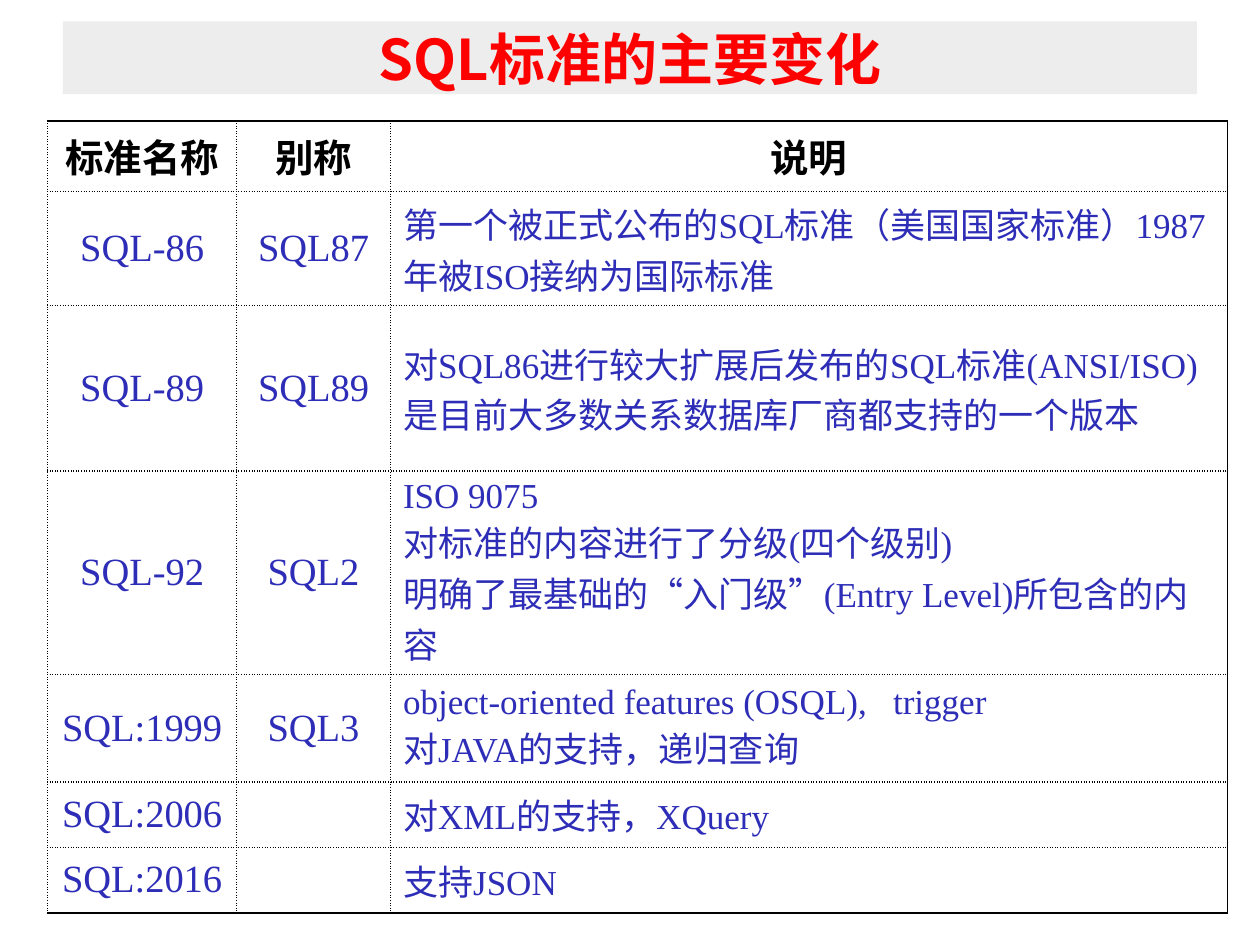
from lxml import etree
from pptx import Presentation
from pptx.dml import color
from pptx.enum import shapes, text
from pptx.oxml import ns
from pptx.util import Cm, Pt

COLORS = {"band": "DDDDDD", "title": "FF0000", "head": "000000",
          "body": "2D2DB7", "border": "000000"}
TITLE_FONT = "Noto Sans CJK SC"
TABLE_FONT = "Times New Roman"
COLUMN_WIDTHS = [3.81, 3.1, 16.87]
ROW_HEIGHTS = [1.42, 2.16, 2.16, 3.1, 2.16, 1.32, 1.32]
ROWS = [
    ("标准名称", "别称", "说明"),
    ("SQL-86", "SQL87", "第一个被正式公布的SQL标准（美国国家标准）1987年被ISO接纳为国际标准"),
    ("SQL-89", "SQL89",
     "对SQL86进行较大扩展后发布的SQL标准(ANSI/ISO)是目前大多数关系数据库厂商都支持的一个版本"),
    ("SQL-92", "SQL2",
     "ISO 9075\n对标准的内容进行了分级(四个级别)\n明确了最基础的“入门级”(Entry Level)所包含的内容"),
    ("SQL:1999", "SQL3",
     "object-oriented features (OSQL),   trigger\n对JAVA的支持，递归查询"),
    ("SQL:2006", "", "对XML的支持，XQuery"),
    ("SQL:2016", "", "支持JSON"),
]


def rgb(name):
    return color.RGBColor.from_string(COLORS[name])


def style_paragraph(para, font, size, color_name, bold, align):
    para.alignment = align
    para.font.name = font
    para.font.size = Pt(size)
    para.font.bold = bold
    para.font.color.rgb = rgb(color_name)


def add_title(page, wording):
    box = page.shapes.add_shape(shapes.MSO_SHAPE.RECTANGLE,
                                Cm(1.27), Cm(0.43), Cm(22.86), Cm(1.47))
    box.shadow.inherit = False
    box.line.fill.background()
    box.fill.solid()
    box.fill.fore_color.rgb = rgb("band")
    tint = box.fill._xPr.find(".//" + ns.qn("a:srgbClr"))
    etree.SubElement(tint, ns.qn("a:alpha"), val="50000")
    frame = box.text_frame
    frame.word_wrap = True
    frame.vertical_anchor = text.MSO_ANCHOR.MIDDLE
    frame.text = wording
    style_paragraph(frame.paragraphs[0], TITLE_FONT, 32, "title", True,
                    text.PP_ALIGN.CENTER)


def set_borders(cell, solid_sides):
    """Draw one-point borders, solid on the given sides and dotted elsewhere."""
    props = cell._tc.get_or_add_tcPr()
    for index, side in enumerate("LRTB"):
        line = etree.Element(ns.qn("a:ln" + side), w=str(Pt(1)))
        fill = etree.SubElement(line, ns.qn("a:solidFill"))
        etree.SubElement(fill, ns.qn("a:srgbClr"), val=COLORS["border"])
        dash = "solid" if side in solid_sides else "sysDot"
        etree.SubElement(line, ns.qn("a:prstDash"), val=dash)
        props.insert(index, line)


def fill_cell(cell, wording, is_head, is_note):
    cell.fill.background()
    cell.vertical_anchor = text.MSO_ANCHOR.MIDDLE
    if not is_note:
        cell.margin_left = cell.margin_right = 0
    cell.text = wording
    left = is_note and not is_head
    for para in cell.text_frame.paragraphs:
        style_paragraph(para, TABLE_FONT, 20 if left else 22,
                        "head" if is_head else "body", is_head,
                        text.PP_ALIGN.LEFT if left else text.PP_ALIGN.CENTER)


def add_standards_table(page):
    frame = page.shapes.add_table(len(ROWS), len(COLUMN_WIDTHS), Cm(0.96), Cm(2.44),
                                  Cm(sum(COLUMN_WIDTHS)), Cm(sum(ROW_HEIGHTS)))
    table = frame.table
    table.first_row = table.horz_banding = False
    for column, width in zip(table.columns, COLUMN_WIDTHS):
        column.width = Cm(width)
    for row, height in zip(table.rows, ROW_HEIGHTS):
        row.height = Cm(height)
    last_row, last_column = len(ROWS) - 1, len(COLUMN_WIDTHS) - 1
    for r, wordings in enumerate(ROWS):
        for c, wording in enumerate(wordings):
            cell = table.cell(r, c)
            fill_cell(cell, wording, r == 0, c == last_column)
            solid_sides = (("T" if r == 0 else "") + ("B" if r == last_row else "")
                           + ("R" if c == last_column else ""))
            set_borders(cell, solid_sides)


def main():
    deck = Presentation()
    deck.slide_width, deck.slide_height = Cm(25.4), Cm(19.05)
    page = deck.slides.add_slide(deck.slide_layouts[6])
    add_standards_table(page)
    add_title(page, "SQL标准的主要变化")
    deck.save("out.pptx")


if __name__ == "__main__":
    main()
